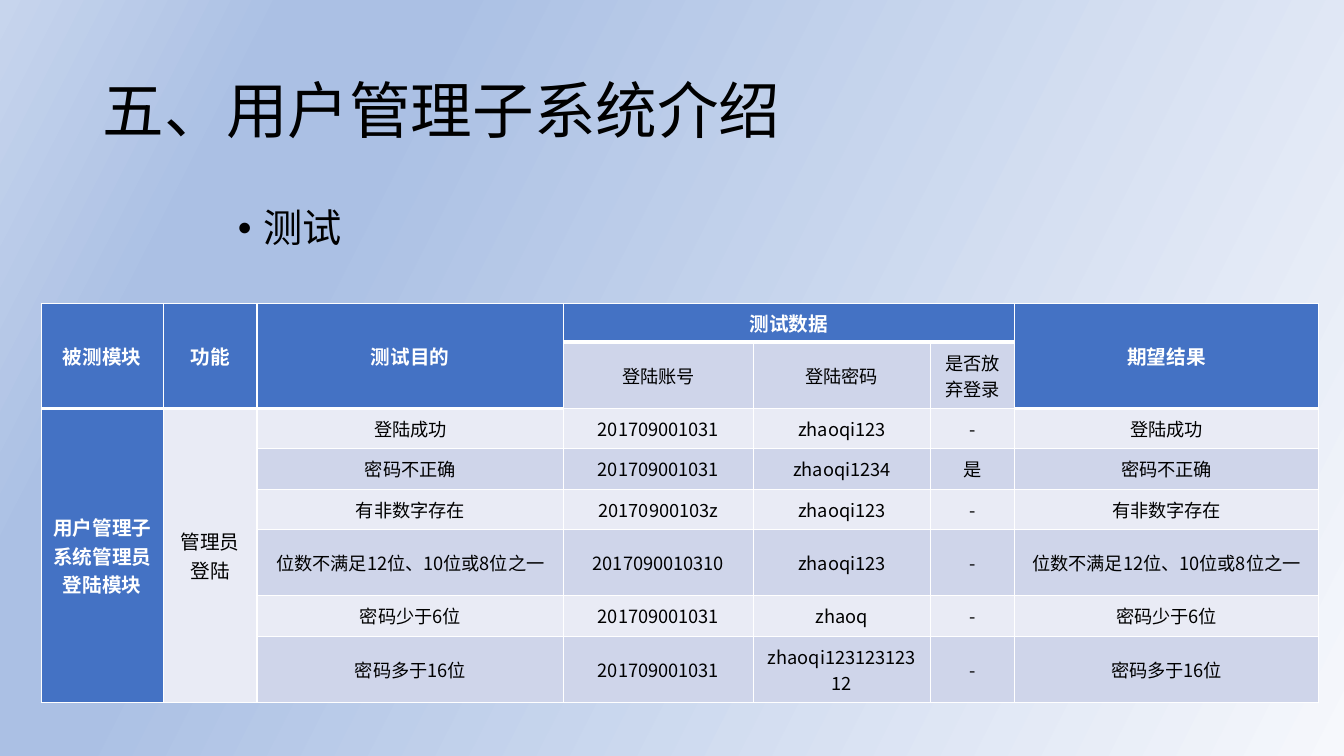
from copy import deepcopy

from lxml import etree
from pptx import Presentation
from pptx.dml.color import RGBColor
from pptx.enum.text import MSO_ANCHOR, MSO_AUTO_SIZE, PP_ALIGN
from pptx.oxml.ns import qn
from pptx.util import Inches, Pt

MIDDLE, TOP = MSO_ANCHOR.MIDDLE, MSO_ANCHOR.TOP
LEFT, CENTER = PP_ALIGN.LEFT, PP_ALIGN.CENTER
NO_FIT = MSO_AUTO_SIZE.NONE

# Content
TITLE = "五、用户管理子系统介绍"
TOPIC = "测试"
DIGITS = "位数不满足12位、10位或8位之一"
HEADERS = ["被测模块", "功能", "测试目的", "测试数据", "", "", "期望结果"]
SUBHEADERS = ["", "", "", "登陆账号", "登陆密码", "是否放弃登录", ""]
MODULE, FUNCTION = "用户管理子系统管理员登陆模块", "管理员登陆"
# Purpose (also the expected result), account, password, login abandoned
CASES = [
    ("登陆成功", "201709001031", "zhaoqi123", "-"),
    ("密码不正确", "201709001031", "zhaoqi1234", "是"),
    ("有非数字存在", "20170900103z", "zhaoqi123", "-"),
    (DIGITS, "2017090010310", "zhaoqi123", "-"),
    ("密码少于6位", "201709001031", "zhaoq", "-"),
    ("密码多于16位", "201709001031", "zhaoqi12312312312", "-"),
]
ROWS = [HEADERS, SUBHEADERS]
for number, case in enumerate(CASES):
    group = ("", "") if number else (MODULE, FUNCTION)
    ROWS.append([*group, *case, case[0]])

# Layout and style
COLUMN_WIDTHS = [1.21, 0.93, 3.04, 1.88, 1.76, 0.83, 3.02]
SINGLE, DOUBLE = 0.26, 0.42
ROW_HEIGHTS = [0.25, DOUBLE, SINGLE, SINGLE, SINGLE, DOUBLE, SINGLE, DOUBLE]
# First and last cell of each merged block, as (row, column)
MERGES = [((0, column), (1, column)) for column in (0, 1, 2, 6)]
MERGES += [((0, 3), (0, 5)), ((2, 0), (7, 0)), ((2, 1), (7, 1))]
FONT = "Noto Sans CJK SC"
BLACK, WHITE, BLUE = "000000", "FFFFFF", "4472C4"
BANDS = ["E9EBF5", "CFD5EA"]
GRADIENT = [(0, "F6F8FC"), (0.74, "ABC0E4"), (0.83, "ABC0E4"), (1, "C7D5ED")]


def color(value):
    return RGBColor.from_string(value)


def format_text(frame, size, text_color, align, anchor, bold=False):
    frame.word_wrap = True
    frame.vertical_anchor = anchor
    for para in frame.paragraphs:
        para.alignment = align
        for span in para.runs:
            span.font.size, span.font.bold = Pt(size), bold
            span.font.name = FONT
            span.font.color.rgb = color(text_color)
            east = etree.SubElement(span.font._element, qn("a:ea"))
            east.set("typeface", FONT)


def fill_placeholder(shape, text, box, size, anchor):
    shape.left, shape.top, shape.width, shape.height = map(Inches, box)
    frame = shape.text_frame
    frame.text = text
    frame.auto_size = NO_FIT
    format_text(frame, size, BLACK, LEFT, anchor)
    frame.paragraphs[0].line_spacing = 0.9
    return frame.paragraphs[0]


def add_borders(cell, bottom):
    properties = cell._tc.get_or_add_tcPr()
    widths = {"a:lnL": 1, "a:lnR": 1, "a:lnT": 1, "a:lnB": bottom}
    for position, (side, width) in enumerate(widths.items()):
        line = etree.Element(qn(side), w=str(Pt(width)))
        solid = etree.SubElement(line, qn("a:solidFill"))
        etree.SubElement(solid, qn("a:srgbClr"), val=WHITE)
        properties.insert(position, line)


deck = Presentation()
deck.slide_width, deck.slide_height = Inches(13.33), Inches(7.5)
page = deck.slides.add_slide(deck.slide_layouts[1])

# Background gradient, rising from the lower right corner
fill = page.background.fill
fill.gradient()
fill.gradient_angle = 153
stop_list = fill.gradient_stops[0]._gs.getparent()
while len(stop_list) < len(GRADIENT):
    stop_list.append(deepcopy(stop_list[0]))
for stop, (position, value) in zip(fill.gradient_stops, GRADIENT):
    stop.position = position
    stop.color.rgb = color(value)

# Title and bulleted topic
title, body = page.placeholders
fill_placeholder(title, TITLE, (0.92, 0.4, 11.5, 1.45), 44, MIDDLE)
topic = fill_placeholder(body, TOPIC, (2.26, 2.02, 5.52, 4.76), 28, TOP)
topic.space_before = Pt(10)
settings = topic._p.get_or_add_pPr()
settings.set("marL", str(Inches(0.25)))
settings.set("indent", str(-Inches(0.25)))
etree.SubElement(settings, qn("a:buFont"), typeface="Arial")
etree.SubElement(settings, qn("a:buChar"), char="•")

# Test case table
table = page.shapes.add_table(
    len(ROW_HEIGHTS), len(COLUMN_WIDTHS), Inches(0.41), Inches(3.01),
    Inches(sum(COLUMN_WIDTHS)), Inches(sum(ROW_HEIGHTS))).table
for column, width in zip(table.columns, COLUMN_WIDTHS):
    column.width = Inches(width)
for row, height in zip(table.rows, ROW_HEIGHTS):
    row.height = Inches(height)
for first, last in MERGES:
    table.cell(*first).merge(table.cell(*last))

for r, texts in enumerate(ROWS):
    for c, text in enumerate(texts):
        cell = table.cell(r, c)
        in_header = r == 0 or (r == 1 and not text)
        is_blue = in_header or c == 0
        is_large = is_blue or c == 1
        cell.text = text
        side, edge = (0.11, 0.05) if is_large else (0.1, 0.07)
        cell.margin_left = cell.margin_right = Inches(side)
        cell.margin_top = cell.margin_bottom = Inches(edge)
        cell.vertical_anchor = MIDDLE
        format_text(cell.text_frame, 14 if is_large else 13,
                    WHITE if is_blue else BLACK, CENTER, None, is_blue)
        band = BANDS[0] if c == 1 else BANDS[r % 2]
        cell.fill.solid()
        cell.fill.fore_color.rgb = color(BLUE if is_blue else band)
        add_borders(cell, 3 if in_header else 1)

deck.save("out.pptx")
